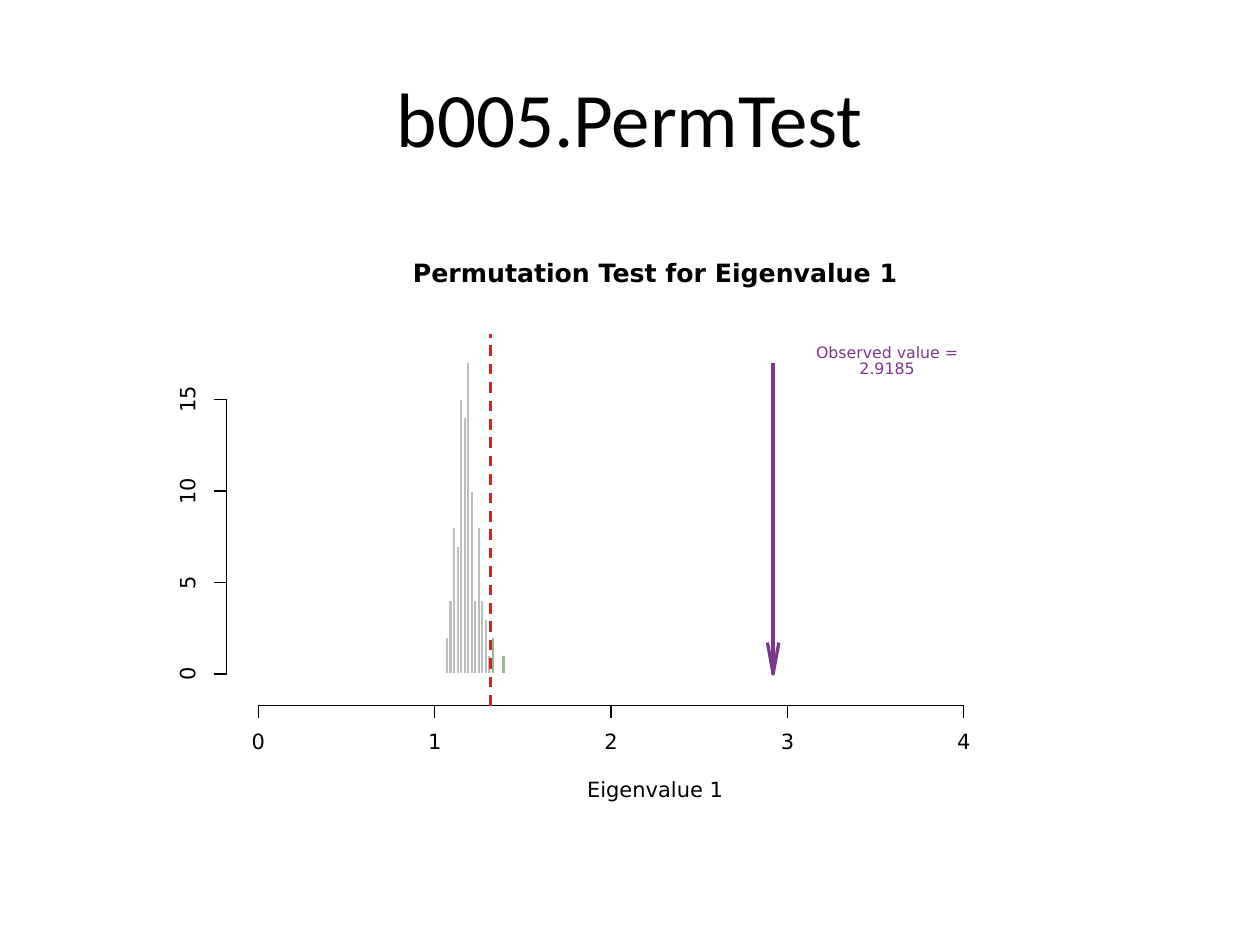
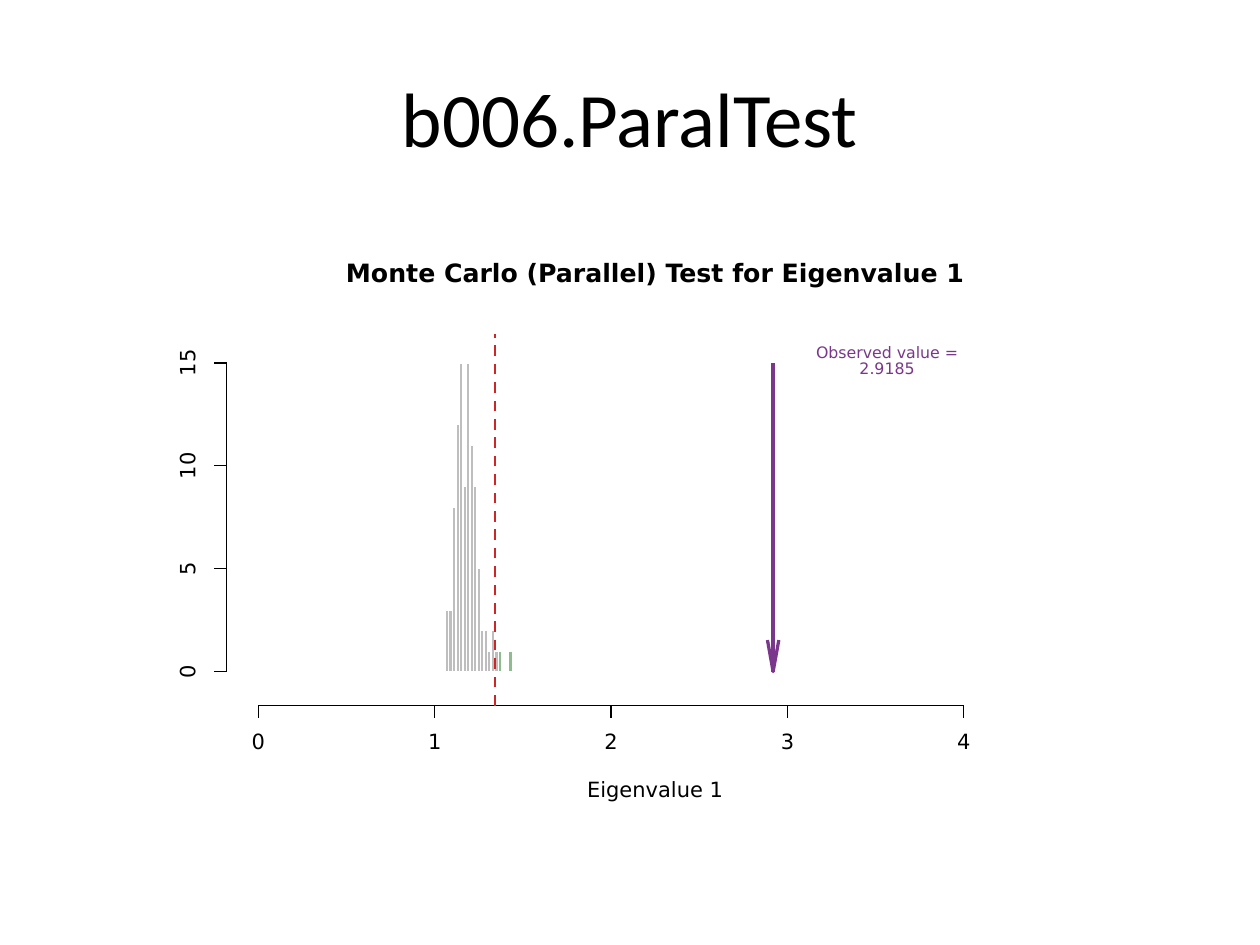
import pptx
import pptx.util
import pptx.dml.color
import pptx.enum.dml
import pptx.enum.shapes
import pptx.enum.text
import lxml.etree

Inches = pptx.util.Inches
Pt = pptx.util.Pt
RGB = pptx.dml.color.RGBColor.from_string
RECTANGLE = pptx.enum.shapes.MSO_SHAPE.RECTANGLE
STRAIGHT = pptx.enum.shapes.MSO_CONNECTOR.STRAIGHT
MIDDLE = pptx.enum.text.MSO_ANCHOR.MIDDLE
CENTER = pptx.enum.text.PP_ALIGN.CENTER
DRAWING_NS = "http://schemas.openxmlformats.org/drawingml/2006/main"

COLORS = {
    "text": "000000",
    "panel": "FFFFFF",
    "below": "BEBEBE",
    "above": "8FBC8F",
    "observed": "7A378B",
    "critical": "CD2626",
}
X_ZERO, X_UNIT = 2.05, 1.4
X_AXIS_Y, Y_AXIS_X = 5.6, 1.8
TICK = 0.1
PLOT_TOP, PLOT_CENTER = 2.88, 5.2
FIRST_BIN, BIN_WIDTH = 1.06, 0.02
OBSERVED = 2.9185

TESTS = [
    {
        "title": "b005.PermTest",
        "heading": "Permutation Test for Eigenvalue 1",
        "heading_width": 3.87,
        "counts": [2, 4, 8, 7, 15, 14, 17, 10, 4, 8, 4, 3, 1, 2, 0, 0, 1],
        "first_above": 13,
        "critical": 1.316,
        "baseline": 5.35,
    },
    {
        "title": "b006.ParalTest",
        "heading": "Monte Carlo (Parallel) Test for Eigenvalue 1",
        "heading_width": 4.94,
        "counts": [3, 3, 8, 12, 15, 9, 15, 11, 9, 5, 2, 2, 1, 2, 1, 1, 0, 0, 1],
        "first_above": 15,
        "critical": 1.342,
        "baseline": 5.33,
    },
]


def add_label(plot, text, center_x, center_y, width, size=12, color="text", bold=False):
    height = size / 72
    label = plot.shapes.add_textbox(
        Inches(center_x - width / 2), Inches(center_y - height / 2), Inches(width), Inches(height)
    )
    frame = label.text_frame
    frame.margin_left = frame.margin_right = frame.margin_top = frame.margin_bottom = 0
    frame.word_wrap = False
    frame.vertical_anchor = MIDDLE
    frame.text = text
    paragraph = frame.paragraphs[0]
    paragraph.alignment = CENTER
    paragraph.line_spacing = Pt(size)
    font = paragraph.runs[0].font
    font.name, font.size, font.bold = "DejaVu Sans", Pt(size), bold
    font.color.rgb = RGB(COLORS[color])
    return label


def add_line(plot, x1, y1, x2, y2, color="text", width=0.75):
    line = plot.shapes.add_connector(STRAIGHT, Inches(x1), Inches(y1), Inches(x2), Inches(y2))
    line.line.color.rgb = RGB(COLORS[color])
    line.line.width = Pt(width)
    lxml.etree.SubElement(line._element.spPr, f"{{{DRAWING_NS}}}effectLst")
    return line


prs = pptx.Presentation()
prs.slide_width, prs.slide_height = Inches(10), Inches(7.5)

for test in TESTS:
    slide = prs.slides.add_slide(prs.slide_layouts[5])
    title = slide.shapes.title
    title.left, title.top, title.width, title.height = (Inches(v) for v in (0.5, 0.3, 9, 1.25))
    title.text_frame.text = test["title"]
    title.text_frame.vertical_anchor = MIDDLE
    title_paragraph = title.text_frame.paragraphs[0]
    title_paragraph.alignment = CENTER
    title_font = title_paragraph.runs[0].font
    title_font.name, title_font.size = "Calibri", Pt(44)
    title_font.color.rgb = RGB(COLORS["text"])

    plot = slide.shapes.add_group_shape()
    baseline = test["baseline"]
    y_unit = (baseline - PLOT_TOP) / max(test["counts"])

    rectangles = [(0.5, 1.75, 9, 4.95, "panel")]
    for i, count in enumerate(test["counts"]):
        if count:
            left = X_ZERO + X_UNIT * (FIRST_BIN + i * BIN_WIDTH)
            height = count * y_unit
            fill = "above" if i >= test["first_above"] else "below"
            rectangles.append((left, baseline - height, X_UNIT * BIN_WIDTH, height, fill))
    for left, top, width, height, fill in rectangles:
        rectangle = plot.shapes.add_shape(
            RECTANGLE, Inches(left), Inches(top), Inches(width), Inches(height)
        )
        rectangle.shadow.inherit = False
        rectangle.fill.solid()
        rectangle.fill.fore_color.rgb = RGB(COLORS[fill])
        rectangle.line.color.rgb = RGB(COLORS["panel"])
        rectangle.line.width = Pt(0.75)

    add_label(plot, test["heading"], PLOT_CENTER, 2.18, test["heading_width"], 14.4, bold=True)
    add_label(plot, "Eigenvalue 1", PLOT_CENTER, 6.28, 1.08)

    add_line(plot, X_ZERO, X_AXIS_Y, X_ZERO + 4 * X_UNIT, X_AXIS_Y)
    for value in range(5):
        x = X_ZERO + value * X_UNIT
        add_line(plot, x, X_AXIS_Y, x, X_AXIS_Y + TICK)
        add_label(plot, str(value), x, 5.9, 0.11)

    add_line(plot, Y_AXIS_X, baseline, Y_AXIS_X, baseline - 15 * y_unit)
    for value in range(0, 16, 5):
        y = baseline - value * y_unit
        add_line(plot, Y_AXIS_X, y, Y_AXIS_X - TICK, y)
        add_label(plot, str(value), 1.5, y, 0.11 * len(str(value))).rotation = 270

    observed_x = X_ZERO + OBSERVED * X_UNIT
    add_line(plot, observed_x, PLOT_TOP, observed_x, baseline, "observed", 1.87)
    barb_top = baseline - 0.25
    outline = plot.shapes.build_freeform(
        Inches(observed_x - 0.045), Inches(barb_top)
    )
    outline.add_line_segments(
        [
            (Inches(observed_x), Inches(baseline)),
            (Inches(observed_x + 0.045), Inches(barb_top)),
        ],
        close=False,
    )
    arrowhead = outline.convert_to_shape()
    arrowhead.shadow.inherit = False
    arrowhead.fill.background()
    arrowhead.line.color.rgb = RGB(COLORS["observed"])
    arrowhead.line.width = Pt(1.87)
    add_label(plot, f"Observed value = {OBSERVED}", 7.04, 2.87, 1.6, 9, "observed")

    critical_x = X_ZERO + test["critical"] * X_UNIT
    critical_line = add_line(plot, critical_x, X_AXIS_Y, critical_x, 2.65, "critical", 1.5)
    critical_line.line.dash_style = pptx.enum.dml.MSO_LINE.DASH

prs.save("out.pptx")
